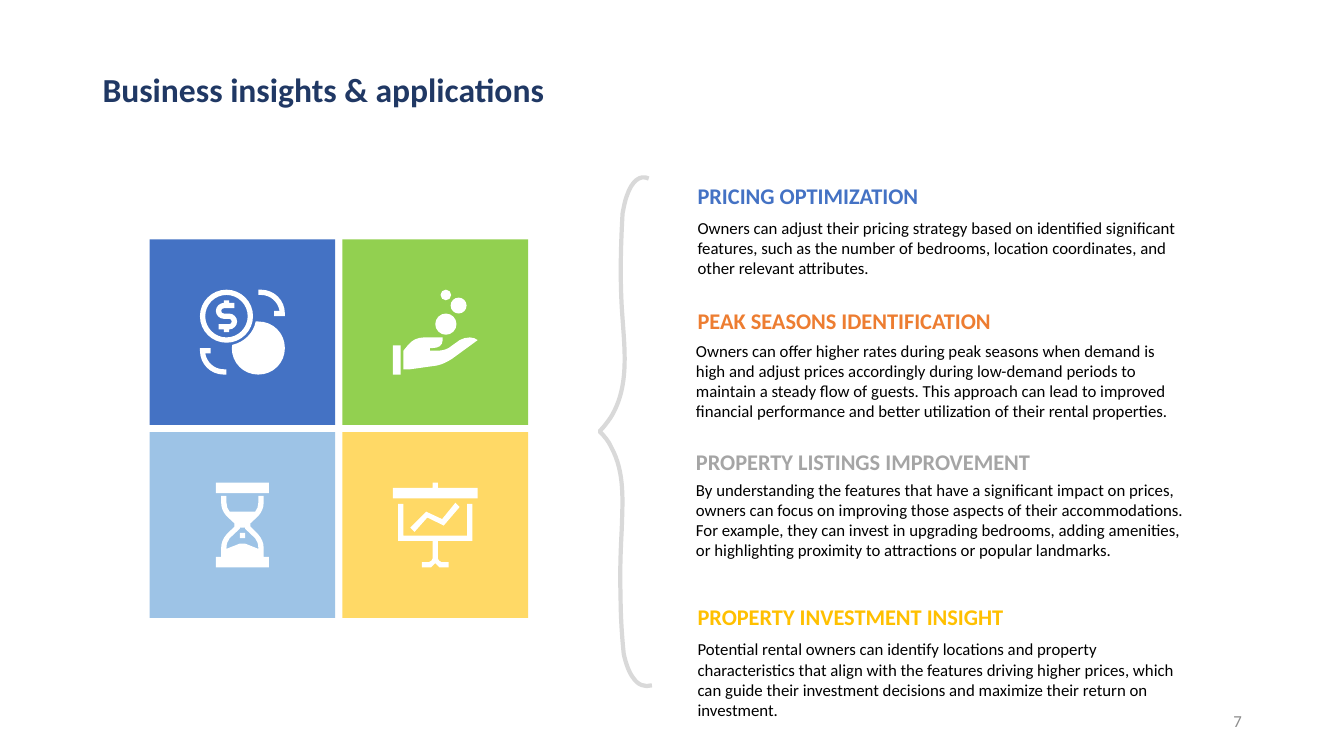
from lxml import etree
from pptx import Presentation
from pptx.dml.color import RGBColor
from pptx.enum.shapes import MSO_SHAPE
from pptx.enum.text import MSO_ANCHOR, MSO_AUTO_SIZE, PP_ALIGN
from pptx.oxml.ns import qn
from pptx.util import Cm, Pt

RECTANGLE = MSO_SHAPE.RECTANGLE
MIDDLE = MSO_ANCHOR.MIDDLE
NO_FIT, GROW = MSO_AUTO_SIZE.NONE, MSO_AUTO_SIZE.SHAPE_TO_FIT_TEXT
LEFT, RIGHT = PP_ALIGN.LEFT, PP_ALIGN.RIGHT

FONT = "Calibri"
WHITE = RGBColor(0xFF, 0xFF, 0xFF)
BLACK = RGBColor(0x00, 0x00, 0x00)
NAVY = RGBColor(0x20, 0x38, 0x64)
BLUE = RGBColor(0x44, 0x72, 0xC4)
GREEN = RGBColor(0x92, 0xD0, 0x50)
SKY = RGBColor(0x9D, 0xC3, 0xE6)
YELLOW = RGBColor(0xFF, 0xD9, 0x66)
ORANGE = RGBColor(0xED, 0x7D, 0x31)
GRAY = RGBColor(0xA5, 0xA5, 0xA5)
GOLD = RGBColor(0xFF, 0xC0, 0x00)
LIGHT_GRAY = RGBColor(0xD9, 0xD9, 0xD9)
NUMBER_GRAY = RGBColor(0x8C, 0x8C, 0x8C)

TITLE = "Business insights & applications"
PAGE = "7"

# heading, colour, heading box (left, top, width, height in cm), body box, body
INSIGHTS = [
    ("PRICING OPTIMIZATION", BLUE, (17.33, 4.47, 6.15, 0.94), (17.33, 5.36, 12.8, 2.31),
     "Owners can adjust their pricing strategy based on identified significant features, "
     "such as the number of bedrooms, location coordinates, and other relevant attributes."),
    ("PEAK SEASONS IDENTIFICATION", ORANGE, (17.33, 7.61, 8, 0.94), (17.29, 8.46, 12.8, 2.31),
     "Owners can offer higher rates during peak seasons when demand is high and adjust "
     "prices accordingly during low-demand periods to maintain a steady flow of guests. "
     "This approach can lead to improved financial performance and better utilization of "
     "their rental properties."),
    ("PROPERTY LISTINGS IMPROVEMENT", GRAY, (17.29, 11.18, 9.04, 0.94), (17.29, 11.96, 12.8, 2.82),
     "By understanding the features that have a significant impact on prices, owners can "
     "focus on improving those aspects of their accommodations. For example, they can "
     "invest in upgrading bedrooms, adding amenities, or highlighting proximity to "
     "attractions or popular landmarks."),
    ("PROPERTY INVESTMENT INSIGHT", GOLD, (17.33, 15.08, 8.31, 0.94), (17.33, 15.98, 12.8, 2.31),
     "Potential rental owners can identify locations and property characteristics that "
     "align with the features driving higher prices, which can guide their investment "
     "decisions and maximize their return on investment."),
]

# Outlines: M move, L lines, C cubic curves, O circle (centre, radius), Z close.
# Icons are drawn on a 16 x 16 grid, the brace in cm.
COINS = """
M 0 11 L 2 11 2 12 1 12 C 1.3 13.7 2.7 15 4.5 15 L 5 15 5 16 4.5 16 C 2 16 0 14 0 11.5 Z
M 11 6 C 13.8 6 16 8.2 16 11 C 16 13.8 13.8 16 11 16 C 8.2 16 6 13.8 6 11
C 6 10.8 6 10.6 6.1 10.4 C 8.3 9.9 10.1 8.2 10.5 6 Z
M 4.5 2 L 5.5 2 5.5 2.5 6.5 2.5 6.5 3.5 4.5 3.5 C 4.2 3.5 4 3.7 4 4 C 4 4.3 4.2 4.5 4.5 4.5
L 5.5 4.5 C 6.3 4.5 7 5.2 7 6 C 7 6.8 6.3 7.5 5.5 7.5 L 5.5 8 4.5 8 4.5 7.5 3.5 7.5 3.5 6.5
5.5 6.5 C 5.8 6.5 6 6.3 6 6 C 6 5.7 5.8 5.5 5.5 5.5 L 4.5 5.5 C 3.7 5.5 3 4.8 3 4
C 3 3.2 3.7 2.5 4.5 2.5 Z
O 5 5 4 O 5 5 5
M 11 0 L 11.5 0 C 14 0 16 2 16 4.5 L 16 5 14 5 14 4 15 4 C 14.7 2.3 13.3 1 11.5 1 L 11 1 Z"""
HAND = """
M 0 10.5 L 1.5 10.5 1.5 16 0 16 Z
M 5.9 9 L 9.4 9 9.4 9.5 C 9.4 10.6 8.5 11 7.5 11 L 7 11 7 11.5 8.2 11.5
C 9 11.5 9.8 11.4 10.5 11 L 12.6 9.5 C 13.2 9.2 13.8 9 14.5 9 C 15.1 9 15.6 9.2 16 9.5
L 11.2 13 C 10.3 13.6 9.3 14.1 8.3 14.3 L 3.3 15 C 3.1 15 2.9 15 2.7 15 L 2 15 2 11.5 2.9 10.4
C 3.6 9.5 4.7 9 5.9 9 Z
O 10 6.5 2 O 12.4 3 1.5 O 10 1 1"""
HOURGLASS = """
M 7.5 9.5 L 8.5 9.5 8.5 10.5 7.5 10.5 Z
M 7.5 8.5 L 7.5 8.7 5.6 10.5 C 5.2 11 5 11.6 5 12.3 L 5 12.5 7.5 11.5 8.5 11.5 11 12.5 11 12.3
C 11 11.6 10.8 11 10.4 10.5 L 8.5 8.7 8.5 8.5 Z
M 4 2.5 L 5 2.5 5 3.8 C 5 4.5 5.2 5 5.6 5.5 L 10.4 5.5 C 10.8 5 11 4.5 11 3.8 L 11 2.5 12 2.5
12 3.8 C 12 4.8 11.6 5.6 11 6.3 L 9.5 7.7 9.5 8.3 11 9.8 C 11.6 10.5 12 11.3 12 12.3
L 12 14 13 14 13 16 3 16 3 14 4 14 4 12.3 C 4 11.3 4.4 10.5 5 9.8 L 6.5 8.3 6.5 7.7 5 6.3
C 4.4 5.6 4 4.8 4 3.8 Z
M 3 0 L 13 0 13 2 3 2 Z"""
BOARD = """
M 1 4 L 2 4 2 10 7.5 10 8.5 10 14 10 14 4 15 4 15 11 8.5 11 8.5 14.3 8.7 14.7 9.2 15 10.5 15
10.5 16 8.8 16 8 15.2 7.2 16 5.5 16 5.5 15 6.8 15 7.3 14.7 7.5 14.3 7.5 11 1 11 Z
M 11.8 3.8 L 12.6 4.6 9.6 8.1 6.5 6.6 4.1 9.3 3.3 8.5 6.3 5.5 9.3 6.9 Z
M 7.5 0 L 8.5 0 8.5 1 16 1 16 3 0 3 0 1 7.5 1 Z"""
BRACE = """
M 1.24 0.03 C 1.02 -0.08 0.81 0.1 0.69 0.46 C 0.64 0.58 0.61 0.76 0.58 0.91
C 0.53 1.8 0.51 2.67 0.58 3.56 C 0.64 4.42 0.74 5.31 0.28 6.05 C 0.2 6.17 0.1 6.3 0 6.4
C 0.13 6.53 0.23 6.65 0.3 6.81 C 0.64 7.44 0.58 8.15 0.56 8.86
C 0.53 9.42 0.51 9.98 0.53 10.54 C 0.53 11.02 0.56 11.53 0.61 12.01
C 0.66 12.24 0.74 12.47 0.84 12.6 C 0.97 12.8 1.14 12.85 1.32 12.8"""

TILES = [(BLUE, COINS), (GREEN, HAND), (SKY, HOURGLASS), (YELLOW, BOARD)]
TILE_LEFT, TILE_TOP, TILE, TILE_STEP = 3.77, 6.03, 4.68, 4.86
ICON = 2.14


def circle(cx, cy, radius):
    """Return the 13 points of four cubic curves that make a circle."""
    k = 0.55
    quarter = [(1, 0), (1, k), (k, 1)]
    points = []
    for _ in range(4):
        points += quarter
        quarter = [(-y, x) for x, y in quarter]
    return [(cx + radius * x, cy + radius * y) for x, y in points + [(1, 0)]]


def contours(outline):
    """Turn an outline into [points, kinds, closed] lists; kinds has one letter a segment."""
    found, cmd, nums = [], "", []
    for token in outline.split():
        if token.isalpha():
            cmd, nums = token, []
            if cmd == "Z":
                found[-1][2] = True
            continue
        nums.append(float(token))
        if len(nums) < {"M": 2, "L": 2, "O": 3, "C": 6}[cmd]:
            continue
        if cmd == "M":
            found.append([[tuple(nums)], "", False])
        elif cmd == "O":
            found.append([circle(*nums), "CCCC", True])
        else:
            found[-1][0].extend(zip(nums[::2], nums[1::2]))
            found[-1][1] += cmd
        nums = []
    return found


def add_outline(s, outline, left, top, unit):
    builder, all_kinds = None, ""
    for points, kinds, closed in contours(outline):
        points = [(Cm(left + x * unit), Cm(top + y * unit)) for x, y in points]
        if builder is None:
            builder = s.shapes.build_freeform(*points[0])
        else:
            builder.move_to(*points[0])
        builder.add_line_segments(points[1:], close=closed)
        all_kinds += kinds
    sp = builder.convert_to_shape()
    sp.shadow.inherit = False

    # Each run of three line segments that stands for a curve becomes one cubic.
    lines = iter(list(sp.element.iter(qn("a:lnTo"))))
    for kind in all_kinds:
        line = next(lines)
        if kind == "C":
            curve = etree.Element(qn("a:cubicBezTo"))
            line.addprevious(curve)
            for control in (line, next(lines), next(lines)):
                curve.append(control[0])
                control.getparent().remove(control)
    return sp


def fill_plain(sp, color):
    sp.fill.solid()
    sp.fill.fore_color.rgb = color
    sp.line.fill.background()


def write(tf, text, size, color, bold=False, align=LEFT):
    p = tf.paragraphs[0]
    p.alignment = align
    r = p.add_run()
    r.text = text
    r.font.name, r.font.size, r.font.bold = FONT, Pt(size), bold
    r.font.color.rgb = color
    return p


def add_text(s, box, text, size, color, wrap=True, fit=GROW, **style):
    tf = s.shapes.add_textbox(*(Cm(length) for length in box)).text_frame
    tf.word_wrap = wrap
    tf.auto_size = fit
    write(tf, text, size, color, **style)
    return tf


def main():
    prs = Presentation()
    prs.slide_width, prs.slide_height = Cm(33.87), Cm(19.05)
    s = prs.slides.add_slide(prs.slide_layouts[5])

    title = s.shapes.title
    title.left, title.top, title.width, title.height = Cm(2.33), Cm(0.46), Cm(29.21), Cm(3.68)
    title.text_frame.vertical_anchor = MIDDLE
    title.text_frame.auto_size = NO_FIT
    write(title.text_frame, TITLE, 24, NAVY, bold=True).line_spacing = 0.9

    brace = add_outline(s, BRACE, 15.11, 4.47, 1)
    brace.fill.background()
    brace.line.color.rgb = LIGHT_GRAY
    brace.line.width = Pt(3)

    inset = (TILE - ICON) / 2
    for i, (color, icon) in enumerate(TILES):
        row, col = divmod(i, 2)
        left, top = TILE_LEFT + col * TILE_STEP, TILE_TOP + row * TILE_STEP
        tile = s.shapes.add_shape(RECTANGLE, Cm(left), Cm(top), Cm(TILE), Cm(TILE))
        tile.shadow.inherit = False
        fill_plain(tile, color)
        fill_plain(add_outline(s, icon, left + inset, top + inset, ICON / 16), WHITE)

    for heading, color, heading_box, body_box, body in INSIGHTS:
        add_text(s, body_box, body, 12, BLACK)
        add_text(s, heading_box, heading, 16, color, wrap=False, bold=True)

    number = add_text(s, (23.93, 17.65, 7.62, 1.02), PAGE, 12, NUMBER_GRAY, fit=NO_FIT, align=RIGHT)
    number.vertical_anchor = MIDDLE

    prs.save("out.pptx")


if __name__ == "__main__":
    main()
